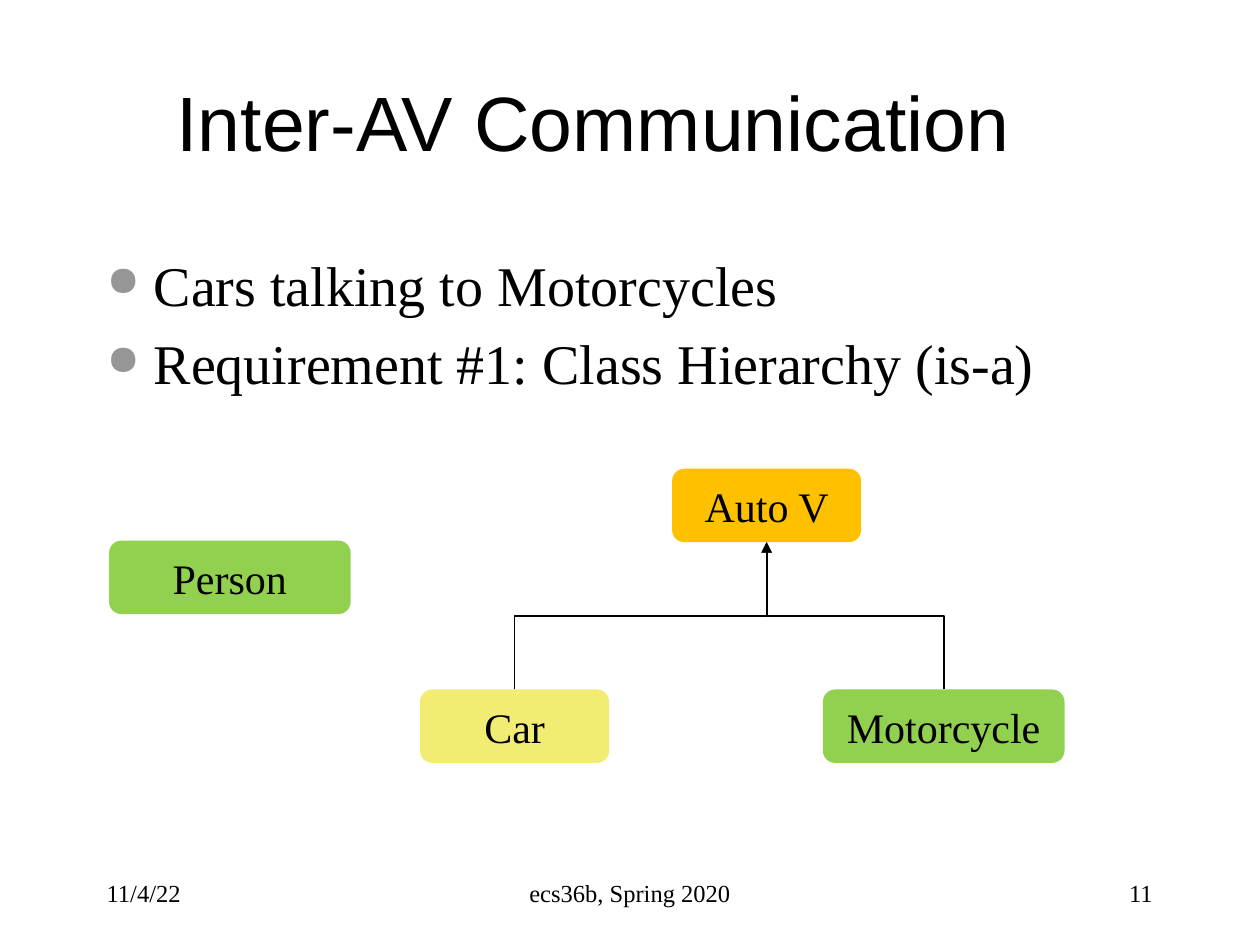
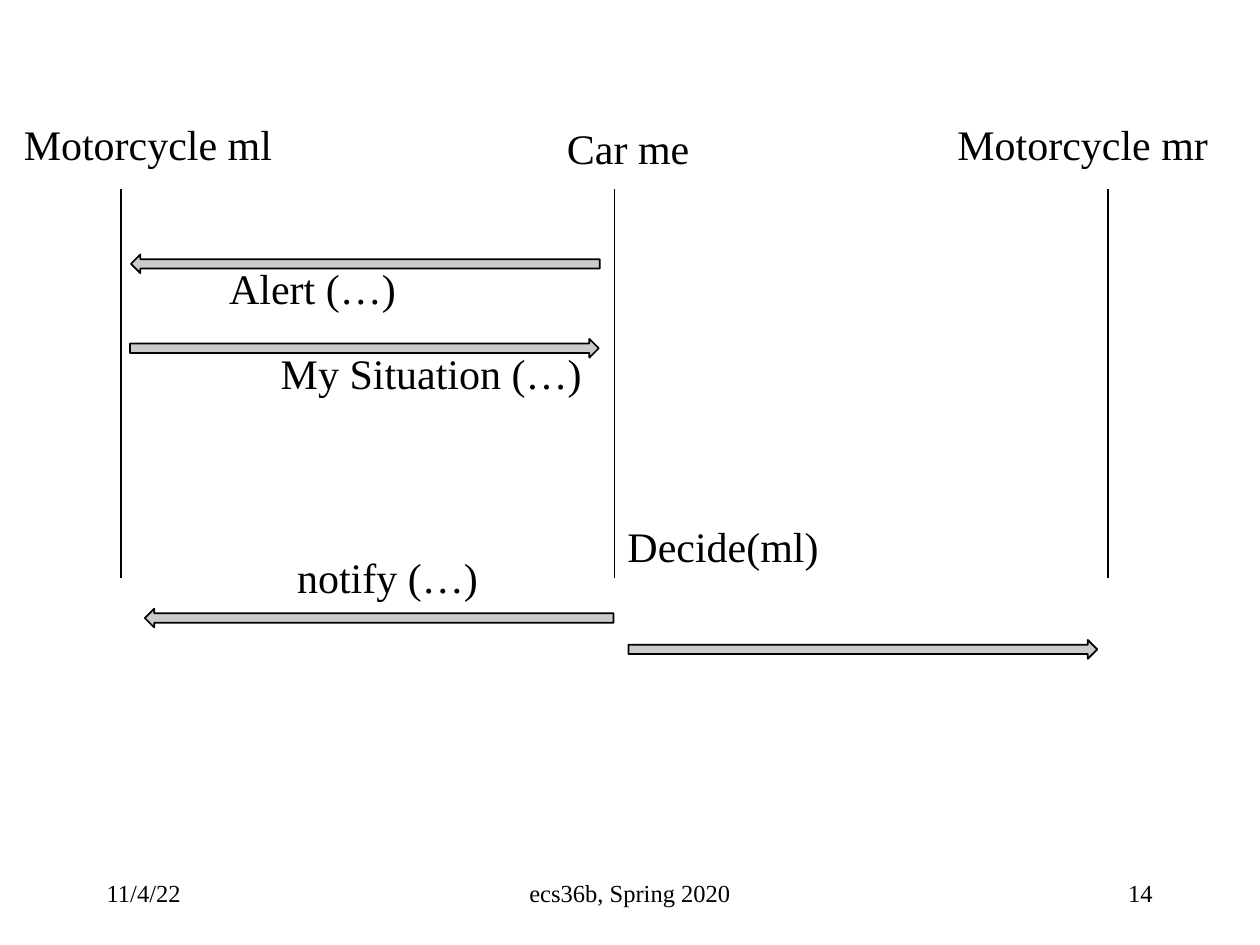
from lxml import etree
from pptx import Presentation
from pptx.dml.color import RGBColor
from pptx.enum.shapes import MSO_CONNECTOR, MSO_SHAPE
from pptx.enum.text import MSO_ANCHOR, MSO_AUTO_SIZE, PP_ALIGN
from pptx.oxml.ns import qn
from pptx.util import Cm, Pt

LEFT, CENTER, RIGHT = PP_ALIGN.LEFT, PP_ALIGN.CENTER, PP_ALIGN.RIGHT
TOP, MIDDLE = MSO_ANCHOR.TOP, MSO_ANCHOR.MIDDLE
FIT_SHAPE = MSO_AUTO_SIZE.SHAPE_TO_FIT_TEXT
ROUNDED, LEFT_ARROW = MSO_SHAPE.ROUNDED_RECTANGLE, MSO_SHAPE.LEFT_ARROW
STRAIGHT, ELBOW = MSO_CONNECTOR.STRAIGHT, MSO_CONNECTOR.ELBOW

BLACK = RGBColor(0x00, 0x00, 0x00)
GRAY = RGBColor(0xCB, 0xCB, 0xCB)
BULLET_GRAY = RGBColor(0x96, 0x96, 0x96)
ORANGE = RGBColor(0xFF, 0xC0, 0x00)
YELLOW = RGBColor(0xF3, 0xEC, 0x72)
GREEN = RGBColor(0x92, 0xD0, 0x50)


class Deck:
    """Shared style and the slide being drawn."""

    title_font, body_font = "Arial", "Times New Roman"
    title_size, body_size, label_size, footer_size = 44, 32, 24, 14
    margin = 1.9
    line_width = Pt(1)

    def __init__(self):
        self.prs = Presentation()
        self.prs.slide_width, self.prs.slide_height = Cm(25.4), Cm(19.05)

    def new_slide(self, number):
        self.slide = self.prs.slides.add_slide(self.prs.slide_layouts[6])
        self.shapes = self.slide.shapes
        footers = [
            ("11/4/22", self.margin, 5.29, LEFT),
            ("ecs36b, Spring 2020", 8.68, 8.04, CENTER),
            (str(number), 18.2, 5.29, RIGHT),
        ]
        for text, x, width, align in footers:
            self.text([text], x, 17.36, width, 1.27, self.footer_size,
                      align=align, anchor=MIDDLE)

    def fill_text(self, frame, lines, size, font=body_font, align=LEFT):
        frame.text = "\n".join(lines)
        for paragraph in frame.paragraphs:
            paragraph.alignment = align
            paragraph.font.name = font
            paragraph.font.size = Pt(size)
            paragraph.font.color.rgb = BLACK

    def text(self, lines, x, y, width, height, size, font=body_font,
             align=LEFT, anchor=TOP, wrap=False):
        frame = self.shapes.add_textbox(
            Cm(x), Cm(y), Cm(width), Cm(height)).text_frame
        frame.word_wrap = wrap
        frame.vertical_anchor = anchor
        self.fill_text(frame, lines, size, font, align)
        return frame

    def title(self, text):
        self.text([text], 3.18, 0.85, 17.57, 3.18, self.title_size,
                  self.title_font, CENTER, MIDDLE, wrap=True)

    def bullets(self, lines):
        frame = self.text(lines, self.margin, 4.92, 21.59, 11.43,
                          self.body_size, wrap=True)
        for paragraph in frame.paragraphs:
            props = paragraph._p.get_or_add_pPr()
            props.set("marL", str(Cm(0.95)))
            props.set("indent", str(-Cm(0.95)))
            spacing = etree.Element(qn("a:spcBef"))
            etree.SubElement(spacing, qn("a:spcPct"), val="20000")
            color = etree.Element(qn("a:buClr"))
            etree.SubElement(color, qn("a:srgbClr"), val=str(BULLET_GRAY))
            size = etree.Element(qn("a:buSzPct"), val="75000")
            mark = etree.Element(qn("a:buChar"), char="●")
            for place, element in enumerate((spacing, color, size, mark)):
                props.insert(place, element)

    def label(self, text, x, y, width):
        frame = self.text([text], x, y, width, 1.28, self.label_size)
        frame.auto_size = FIT_SHAPE

    def shape(self, kind, x, y, width, height, fill):
        shape = self.shapes.add_shape(
            kind, Cm(x), Cm(y), Cm(width), Cm(height))
        shape.shadow.inherit = False
        shape.fill.solid()
        shape.fill.fore_color.rgb = fill
        return shape

    def class_box(self, name, x, y, width, fill):
        box = self.shape(ROUNDED, x, y, width, 1.48, fill)
        box.line.fill.background()
        box.text_frame.vertical_anchor = MIDDLE
        self.fill_text(box.text_frame, [name], self.label_size, align=CENTER)
        return box

    def message(self, x, y, rightward=False):
        arrow = self.shape(LEFT_ARROW, x, y, 9.45, 0.38, GRAY)
        arrow.line.color.rgb = BLACK
        arrow.line.width = self.line_width
        arrow.rotation = 180 if rightward else 0

    def connector(self, kind, x1, y1, x2, y2):
        line = self.shapes.add_connector(kind, x1, y1, x2, y2)
        line.line.color.rgb = BLACK
        line.line.width = self.line_width
        etree.SubElement(line._element.spPr, qn("a:effectLst"))
        return line

    def lifeline(self, x):
        self.connector(STRAIGHT, Cm(x), Cm(3.81), Cm(x), Cm(11.66))

    def inherits(self, child, parent):
        """Elbow arrow from the child's top to the parent's bottom."""
        x1, y1 = child.left + child.width // 2, child.top
        x2, y2 = parent.left + parent.width // 2, parent.top + parent.height
        mid_x, mid_y = (x1 + x2) // 2, (y1 + y2) // 2
        # The elbow starts sideways, so it is laid flat and turned upright
        turn = 1 if x1 < x2 else -1
        dx, dy = turn * (y1 - y2) // 2, turn * (x2 - x1) // 2
        line = self.connector(ELBOW, mid_x + dx, mid_y + dy,
                              mid_x - dx, mid_y - dy)
        line._element.spPr.xfrm.set("rot", str(turn * 90 % 360 * 60000))
        etree.SubElement(line.line._get_or_add_ln(), qn("a:tailEnd"),
                         type="triangle")


deck = Deck()

# Class hierarchy
deck.new_slide(11)
deck.title("Inter-AV Communication")
deck.bullets(["Cars talking to Motorcycles",
              "Requirement #1: Class Hierarchy (is-a)"])
vehicle = deck.class_box("Auto V", 13.55, 9.45, 3.81, ORANGE)
car = deck.class_box("Car", 8.47, 13.9, 3.81, YELLOW)
motorcycle = deck.class_box("Motorcycle", 16.59, 13.9, 4.87, GREEN)
for subclass in (car, motorcycle):
    deck.inherits(subclass, vehicle)
deck.class_box("Person", 2.2, 10.9, 4.87, GREEN)

# Message sequence
deck.new_slide(14)
for step in range(3):
    deck.lifeline(2.44 + 9.95 * step)
for text, x, y, width in [
    ("Motorcycle ml", 0.23, 2.26, 5.56),
    ("Motorcycle mr", 19.05, 2.26, 5.61),
    ("Car me", 11.18, 2.34, 3.0),
    ("Alert (…)", 4.37, 5.16, 3.91),
    ("My Situation (…)", 5.41, 6.88, 6.63),
    ("Decide(ml)", 12.4, 10.36, 4.39),
    ("notify (…)", 5.74, 11.0, 4.19),
]:
    deck.label(text, x, y, width)
deck.message(2.64, 5.13)
deck.message(2.62, 6.83, rightward=True)
deck.message(2.92, 12.27)
deck.message(12.67, 12.9, rightward=True)

deck.prs.save("out.pptx")
